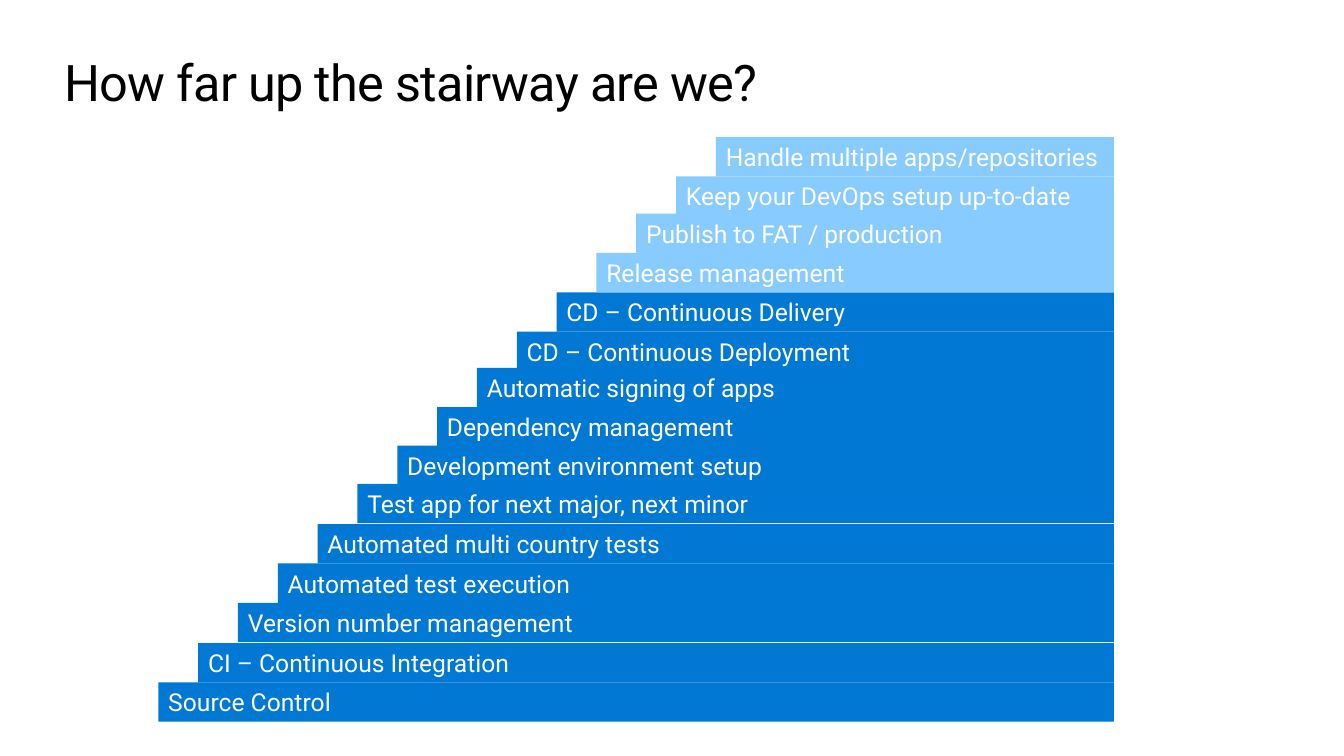
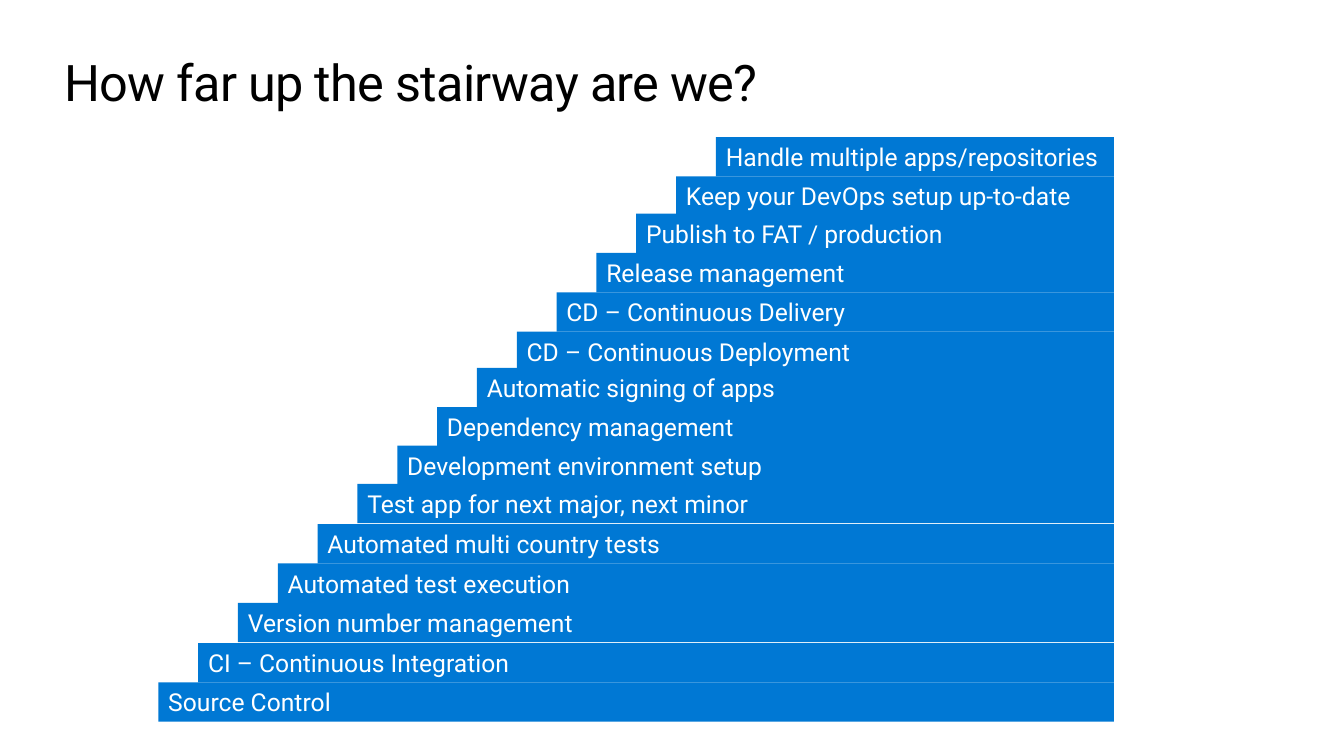
from pptx import Presentation
from pptx import util as u
from pptx.dml.color import RGBColor
from pptx.enum import shapes, text

WIDTH, HEIGHT = 13.33, 7.5
FONT = "Roboto"
BLUE, LIGHT, WHITE, BLACK = "0078D4", "88CBFF", "FFFFFF", "000000"
LEFT, TREAD, RIGHT, RISER = 1.57, 0.395, 11.45, 0.39
EDGE = 11.05
TITLE = "How far up the stairway are we?"
STEPS = [
    ("Source Control", 6.77),
    ("CI – Continuous Integration", 6.38),
    ("Version number management", 5.98),
    ("Automated test execution", 5.59),
    ("Automated multi country tests", 5.2),
    ("Test app for next major, next minor", 4.8),
    ("Development environment setup", 4.42),
    ("Dependency management", 4.04),
    ("Automatic signing of apps", 3.65),
    ("CD – Continuous Deployment", 3.29),
    ("CD – Continuous Delivery", 2.9),
    ("Release management", 2.51),
    ("Publish to FAT / production", 2.12),
    ("Keep your DevOps setup up-to-date", 1.75),
    ("Handle multiple apps/repositories", 1.36),
]


def rgb(value):
    """Return the colour for a hex string."""
    return RGBColor.from_string(value)


def write(tf, words, size, color):
    """Put one left-aligned line of formatted text in a frame."""
    tf.text = words
    tf.word_wrap = True
    tf.vertical_anchor = text.MSO_ANCHOR.MIDDLE
    p = tf.paragraphs[0]
    p.alignment = text.PP_ALIGN.LEFT
    r = p.runs[0]
    r.font.name, r.font.size = FONT, u.Pt(size)
    r.font.color.rgb = rgb(color)
    return r


def add_title(s, words):
    """Place and format the slide title."""
    sp = s.shapes.title
    sp.left, sp.top = u.Inches(0.64), u.Inches(0.5)
    sp.width, sp.height = u.Inches(12.05), u.Inches(0.61)
    tf = sp.text_frame
    tf.margin_left = tf.margin_top = tf.margin_right = tf.margin_bottom = 0
    r = write(tf, words, 36, BLACK)
    r.font._element.set("spc", "-50")
    tf.auto_size = text.MSO_AUTO_SIZE.SHAPE_TO_FIT_TEXT


def add_block(s, left, top, width, height, color):
    """Add a plain filled rectangle."""
    sp = s.shapes.add_shape(shapes.MSO_SHAPE.RECTANGLE, u.Inches(left),
                            u.Inches(top), u.Inches(width), u.Inches(height))
    sp.shadow.inherit = False
    sp.fill.solid()
    sp.fill.fore_color.rgb = rgb(color)
    sp.line.fill.background()
    return sp


def add_stairway(s, reached):
    """Add the steps, light above the reached one, with a straight right edge."""
    for i, (words, top) in enumerate(STEPS):
        left = LEFT + i * TREAD
        right = RIGHT if i else EDGE
        color = BLUE if i < reached else LIGHT
        sp = add_block(s, left, top, right - left, RISER, color)
        write(sp.text_frame, words, 17.6, WHITE)
    add_block(s, EDGE, 1.11, 0.95, 6.19, WHITE)


def main():
    """Build the stairway slides."""
    prs = Presentation()
    prs.slide_width, prs.slide_height = u.Inches(WIDTH), u.Inches(HEIGHT)
    for reached in (11, len(STEPS)):
        s = prs.slides.add_slide(prs.slide_layouts[5])
        add_title(s, TITLE)
        add_stairway(s, reached)
    prs.save("out.pptx")


if __name__ == "__main__":
    main()
